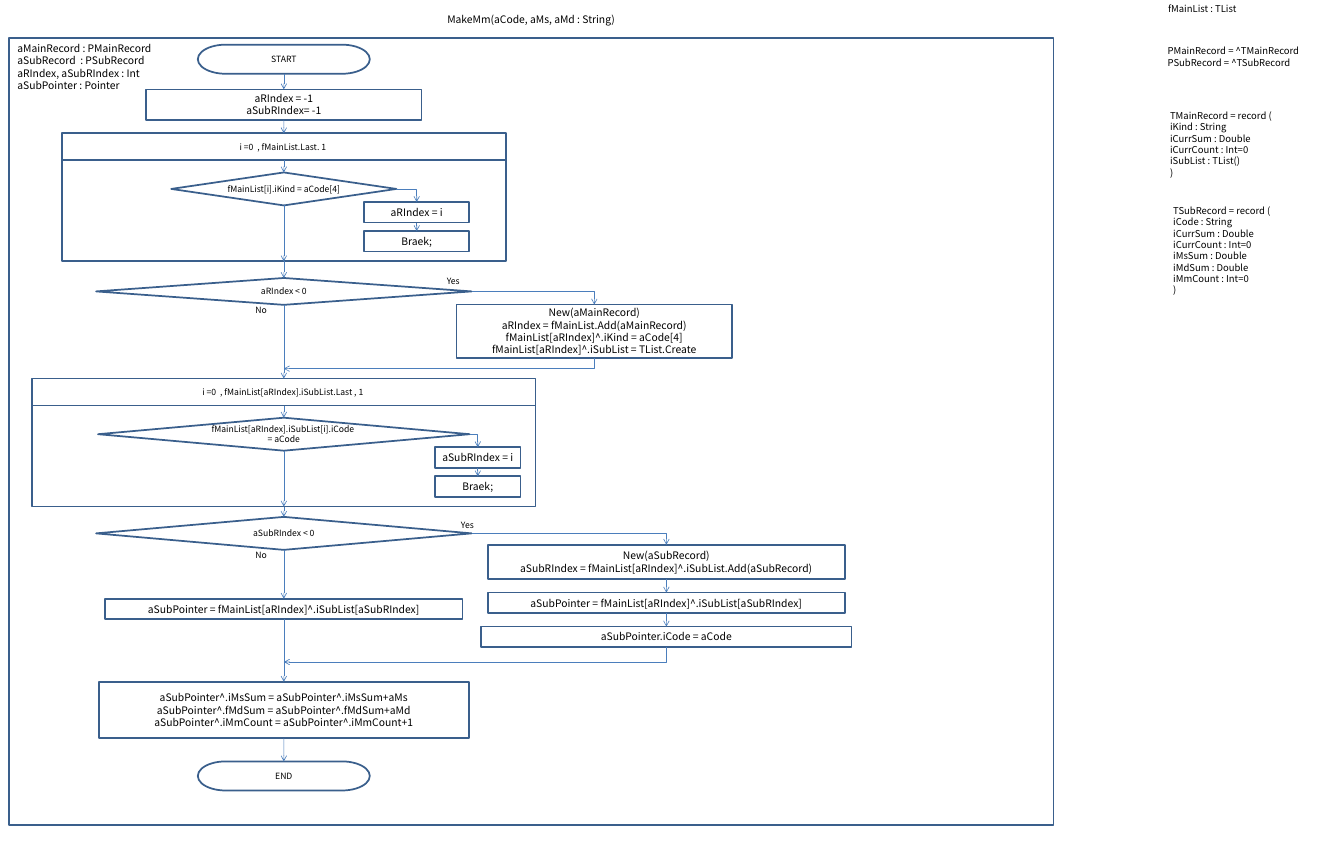
from lxml.etree import SubElement
from pptx import Presentation
from pptx.dml.color import RGBColor
from pptx.enum.shapes import MSO_CONNECTOR, MSO_SHAPE
from pptx.enum.text import MSO_ANCHOR, PP_ALIGN
from pptx.oxml.ns import qn
from pptx.util import Cm, Pt

TOP, BOTTOM = 0, 2  # connection sites
SPINE = 11.62  # centre of the main flow
ROW = 0.84  # height of a one-line box
RECT = MSO_SHAPE.RECTANGLE
DECISION = MSO_SHAPE.FLOWCHART_DECISION
TERMINATOR = MSO_SHAPE.FLOWCHART_TERMINATOR


def rgb(color):
    return RGBColor.from_string(color)


class Flowchart:
    FONT = "Noto Sans CJK KR"
    TEXT, BORDER, ARROW = "000000", "3A5F8C", "4B7EBC"

    def __init__(self, slide):
        self.slide = slide

    def set_text(self, tf, text, size, align, inset=None):
        if inset is not None:
            tf.margin_left = tf.margin_right = Cm(inset)
            tf.margin_top = tf.margin_bottom = Cm(inset)
        tf.text = text
        for p in tf.paragraphs:
            p.alignment = align
            p.font.name = self.FONT
            p.font.size = Pt(size)
            p.font.color.rgb = rgb(self.TEXT)

    def box(self, cx, y, w, h, text="", size=12, kind=RECT):
        s = self.slide.shapes.add_shape(kind, Cm(cx - w / 2), Cm(y), Cm(w), Cm(h))
        s.shadow.inherit = False
        s.fill.background()
        s.line.color.rgb = rgb(self.BORDER)
        s.line.width = Pt(2)
        if text:
            s.text_frame.word_wrap = kind != DECISION
            s.text_frame.vertical_anchor = MSO_ANCHOR.MIDDLE
            self.set_text(s.text_frame, text, size, PP_ALIGN.CENTER, 0)
        return s

    def decision(self, y, w, h, text):
        return self.box(SPINE, y, w, h, text, 10, DECISION)

    def terminator(self, y, text):
        return self.box(SPINE, y, 7.04, 1.19, text, 10, TERMINATOR)

    def note(self, x, y, w, h, text, size, inset=None, align=PP_ALIGN.LEFT,
             anchor=MSO_ANCHOR.TOP):
        s = self.slide.shapes.add_textbox(Cm(x), Cm(y), Cm(w), Cm(h))
        s.text_frame.word_wrap = True
        s.text_frame.vertical_anchor = anchor
        self.set_text(s.text_frame, text, size, align, inset)

    def line(self, x1, y1, x2, y2, kind=MSO_CONNECTOR.STRAIGHT):
        c = self.slide.shapes.add_connector(kind, *map(int, (x1, y1, x2, y2)))
        c.line.color.rgb = rgb(self.ARROW)
        c.line.width = Pt(0.75)
        SubElement(c.line._get_or_add_ln(), qn("a:tailEnd"), type="arrow")
        SubElement(c._element.spPr, qn("a:effectLst"))
        return c

    def elbow(self, x1, y1, x2, y2):
        c = self.line(x1, y1, x2, y2, MSO_CONNECTOR.ELBOW)
        c._element.spPr.find(qn("a:prstGeom")).set("prst", "bentConnector2")
        return c

    def connect(self, a, b, end=TOP):
        """Straight arrow from the bottom of a to a site of b."""
        c = self.line(0, 0, 0, 0)
        c.begin_connect(a, BOTTOM)
        c.end_connect(b, end)

    def chain(self, *boxes):
        for a, b in zip(boxes, boxes[1:]):
            self.connect(a, b)

    def branch(self, a, b):
        """Arrow from the right corner of a, then down to the top of b."""
        self.elbow(a.left + a.width, a.top + a.height / 2,
                   b.left + b.width / 2, b.top)

    def merge(self, a, y):
        """Arrow from the bottom of a, then left to the main flow."""
        x1, y1 = a.left + a.width / 2, a.top + a.height
        cx, cy = (x1 + Cm(SPINE)) / 2, (y1 + Cm(y)) / 2
        dx, dy = (x1 - Cm(SPINE)) / 2, (Cm(y) - y1) / 2
        c = self.elbow(cx - dy, cy - dx, cx + dy, cy + dx)
        c._element.spPr.find(qn("a:xfrm")).set("rot", str(90 * 60000))

    def loop(self, y, w, heading, test, test_w, found, found_x, found_w):
        """Loop with a test that sets an index and leaves; gives head and body."""
        head = self.box(SPINE, y, w, 1.1, heading, 10)
        body = self.box(SPINE, y + 1.1, w, 4.14)
        check = self.decision(y + 1.6, test_w, 1.35, test)
        assign = self.box(found_x, y + 2.81, found_w, ROW, found)
        leave = self.box(found_x, y + 4, found_w, ROW, "Braek;")
        self.chain(head, check)
        self.connect(check, body, BOTTOM)
        self.branch(check, assign)
        self.chain(assign, leave)
        return head, body


def main():
    prs = Presentation()
    prs.slide_width, prs.slide_height = Cm(55.02), Cm(35)
    f = Flowchart(prs.slides.add_slide(prs.slide_layouts[6]))

    # Frame, title and local variables
    f.box(21.74, 1.55, 42.77, 32.21)
    f.note(0.36, 0.15, 42.77, 1.27, "MakeMm(aCode, aMs, aMd : String)", 12, 0,
           PP_ALIGN.CENTER, MSO_ANCHOR.MIDDLE)
    f.note(0.46, 1.6, 8.03, 2.31,
           "aMainRecord : PMainRecord\naSubRecord  : PSubRecord\n"
           "aRIndex, aSubRIndex : Int\naSubPointer : Pointer", 12)

    # Type declarations
    declarations = [
        (47.57, 0, 0.74, "fMainList : TList"),
        (47.55, 1.73, 1.19, "PMainRecord = ^TMainRecord\nPSubRecord = ^TSubRecord"),
        (47.65, 4.37, 3.07, "TMainRecord = record (\niKind : String\niCurrSum : Double\n"
                            "iCurrCount : Int=0\niSubList : TList()\n)"),
        (47.78, 8.26, 4.01, "TSubRecord = record (\niCode : String\niCurrSum : Double\n"
                            "iCurrCount : Int=0\niMsSum : Double\niMdSum : Double\n"
                            "iMmCount : Int=0\n)"),
    ]
    for x, y, h, text in declarations:
        f.note(x, y, 6.78, h, text, 11)

    # Start and search in the main list
    start = f.terminator(1.83, "START")
    init = f.box(SPINE, 3.66, 11.28, 1.24, "aRIndex = -1\naSubRIndex= -1")
    main_head, main_body = f.loop(
        5.46, 18.19, "i =0  , fMainList.Last. 1 ",
        "fMainList[i].iKind = aCode[4]", 9.22, "aRIndex = i", 17.06, 4.29)

    # New main record
    no_main = f.decision(11.38, 15.37, 1.1, "aRIndex < 0")
    new_main = f.box(24.33, 12.47, 11.28, 2.18,
                     "New(aMainRecord)\naRIndex = fMainList.Add(aMainRecord)\n"
                     "fMainList[aRIndex]^.iKind = aCode[4]\n"
                     "fMainList[aRIndex]^.iSubList = TList.Create")
    f.branch(no_main, new_main)
    f.merge(new_main, 15.09)

    # Search in the sub list
    sub_head, sub_body = f.loop(
        15.5, 20.6, "i =0  , fMainList[aRIndex].iSubList.Last , 1 ",
        "fMainList[aRIndex].iSubList[i].iCode \n= aCode", 15.21,
        "aSubRIndex = i", 19.56, 3.51)

    # New sub record
    get_pointer = "aSubPointer = fMainList[aRIndex]^.iSubList[aSubRIndex]"
    no_sub = f.decision(21.16, 15.37, 1.35, "aSubRIndex < 0")
    new_sub = f.box(27.28, 22.3, 14.63, 1.4,
                    "New(aSubRecord)\n"
                    "aSubRIndex = fMainList[aRIndex]^.iSubList.Add(aSubRecord)")
    new_pointer = f.box(27.28, 24.26, 14.63, ROW, get_pointer)
    set_code = f.box(27.28, 25.65, 15.16, ROW, "aSubPointer.iCode = aCode")
    f.branch(no_sub, new_sub)
    f.chain(new_sub, new_pointer, set_code)
    f.merge(set_code, 27.1)

    # Totals and end
    pointer = f.box(SPINE, 24.51, 14.63, ROW, get_pointer)
    totals = f.box(SPINE, 27.91, 15.16, 2.31,
                   "aSubPointer^.iMsSum = aSubPointer^.iMsSum+aMs\n"
                   "aSubPointer^.fMdSum = aSubPointer^.fMdSum+aMd\n"
                   "aSubPointer^.iMmCount = aSubPointer^.iMmCount+1")
    end = f.terminator(31.17, "END")

    # Main flow
    f.chain(start, init, main_head)
    f.chain(main_body, no_main, sub_head)
    f.chain(sub_body, no_sub, pointer, totals, end)

    # Branch labels
    for x, y, text in [(18.29, 11.28, "Yes"), (10.46, 12.47, "No"),
                       (18.87, 21.29, "Yes"), (10.46, 22.5, "No")]:
        f.note(x, y, 1, 0.43, text, 10, 0)

    prs.save("out.pptx")


if __name__ == "__main__":
    main()
